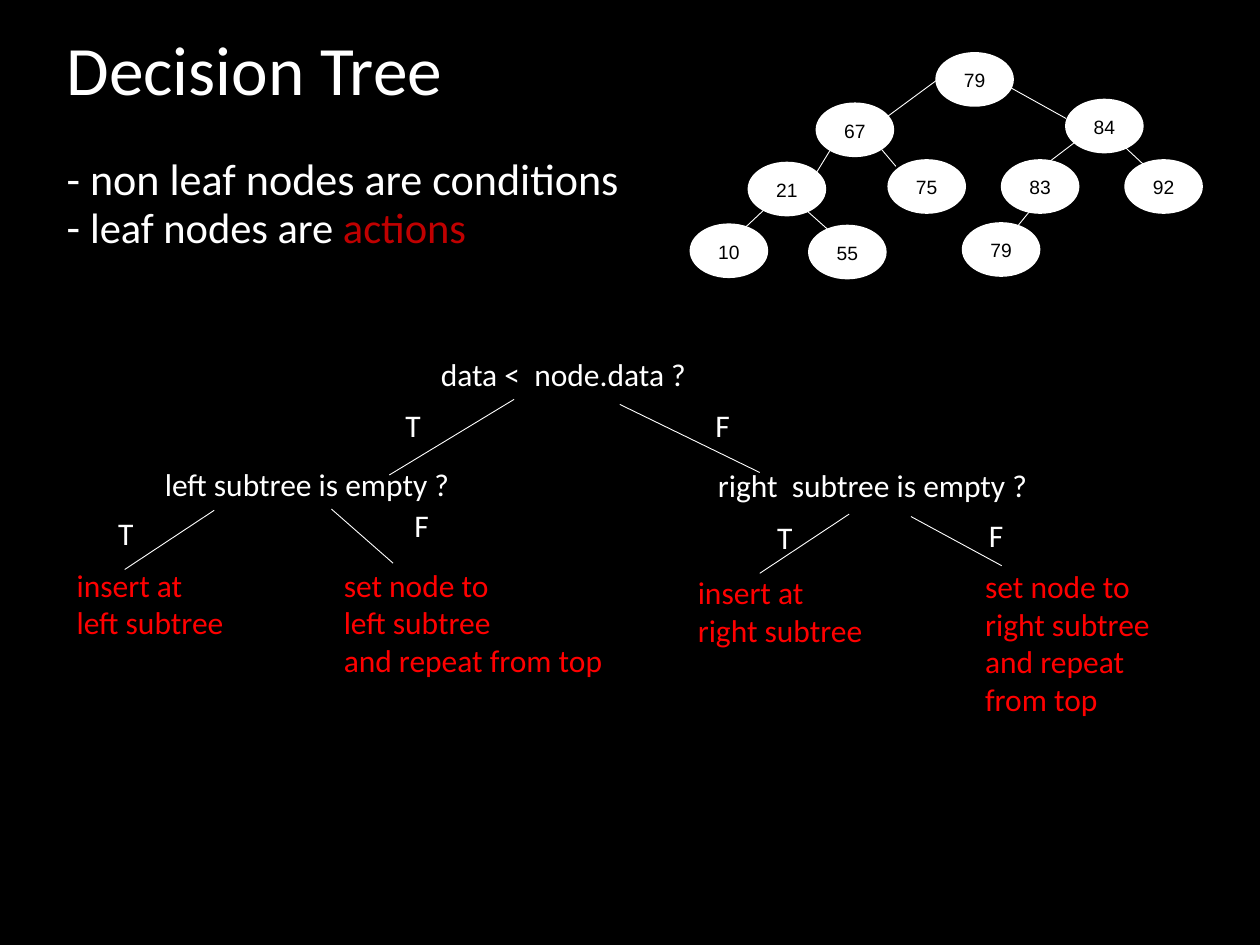
from pptx import Presentation
from pptx.dml.color import RGBColor
from pptx.enum.shapes import MSO_CONNECTOR as Connector, MSO_SHAPE as Shape
from pptx.enum.text import MSO_ANCHOR as Anchor, MSO_AUTO_SIZE as AutoSize, PP_ALIGN as Align
from pptx.oxml.ns import qn
from pptx.util import Inches, Pt
from lxml import etree

BLACK = RGBColor(0x00, 0x00, 0x00)
WHITE = RGBColor(0xFF, 0xFF, 0xFF)
RED = RGBColor(0xFF, 0x00, 0x00)
DARK_RED = RGBColor(0xC0, 0x00, 0x00)

NODE_WIDTH, NODE_HEIGHT = 0.61, 0.42
LINE_HEIGHT = 0.3

TREE_NODES = [
    ("79", 7.43, 0.42), ("67", 6.48, 0.82), ("21", 5.94, 1.29),
    ("10", 5.48, 1.78), ("55", 6.42, 1.79), ("75", 7.05, 1.27),
    ("79", 7.64, 1.77), ("84", 8.46, 0.79), ("83", 7.95, 1.27),
    ("92", 8.93, 1.27),
]
TREE_EDGES = [
    (7.43, 0.64, 7.05, 0.92), (8.01, 0.69, 8.46, 0.94),
    (6.59, 1.19, 6.48, 1.37), (8.53, 1.13, 8.32, 1.29),
    (7.00, 1.19, 7.11, 1.32), (8.93, 1.17, 9.07, 1.30),
    (6.07, 1.66, 5.91, 1.81), (8.17, 1.68, 8.08, 1.79),
    (6.40, 1.67, 6.58, 1.83),
]
CONDITIONS = [
    ("data <  node.data ?", 3.4, 2.77, 2.2),
    ("left subtree is empty ?", 1.21, 3.64, 2.51),
    ("right  subtree is empty ?", 5.6, 3.65, 2.73),
]
ACTIONS = [
    ("insert at\nleft subtree", 0.51, 4.44, 1.4, 2),
    ("set node to\nleft subtree\vand repeat from top", 2.63, 4.44, 2.32, 3),
    ("insert at\nright subtree", 5.44, 4.5, 1.56, 2),
]
DECISION_EDGES = [
    (4.08, 3.17, 3.09, 3.77), (1.70, 4.05, 0.99, 4.52),
    (6.74, 4.08, 6.03, 4.55), (4.92, 3.21, 6.03, 3.75),
    (2.63, 4.04, 3.12, 4.47), (7.23, 4.10, 7.95, 4.49),
]
ANSWERS = [
    ("T", 3.12, 3.17), ("T", 0.84, 4.03), ("T", 6.07, 4.06),
    ("F", 5.58, 3.17), ("F", 3.19, 3.97), ("F", 7.75, 4.05),
]


class TreePage:
    text_font = "Calibri"
    node_font = "Arial"
    text_size = 18
    node_size = 11

    def __init__(self, deck):
        self.page = deck.slides.add_slide(deck.slide_layouts[6])
        background = self.page.background.fill
        background.solid()
        background.fore_color.rgb = BLACK

    def style(self, span, name, size, color):
        span.font.name = name
        span.font.size = Pt(size)
        span.font.color.rgb = color

    def heading(self, title, lines):
        box = self.page.shapes.add_textbox(Inches(0.43), Inches(0.42), Inches(8.62), Inches(1.45))
        frame = box.text_frame
        frame.word_wrap = True
        frame.vertical_anchor = Anchor.MIDDLE
        frame.text = title
        self.style(frame.paragraphs[0].runs[0], self.text_font, 39.6, WHITE)
        for spans in lines:
            para = frame.add_paragraph()
            for text, size, color in spans:
                span = para.add_run()
                span.text = text
                self.style(span, self.text_font, size, color)
        for para in frame.paragraphs:
            para.line_spacing = 0.9
        frame.paragraphs[1].space_before = Pt(27)

    def label(self, text, left, top, width, lines=1, color=WHITE, wrap=False):
        height = 0.1 + lines * LINE_HEIGHT
        box = self.page.shapes.add_textbox(Inches(left), Inches(top), Inches(width), Inches(height))
        frame = box.text_frame
        frame.word_wrap = wrap
        frame.auto_size = AutoSize.SHAPE_TO_FIT_TEXT
        frame.text = text
        for para in frame.paragraphs:
            for span in para.runs:
                self.style(span, self.text_font, self.text_size, color)

    def node(self, text, left, top):
        oval = self.page.shapes.add_shape(
            Shape.OVAL, Inches(left), Inches(top), Inches(NODE_WIDTH), Inches(NODE_HEIGHT))
        oval.shadow.inherit = False
        oval.fill.solid()
        oval.fill.fore_color.rgb = WHITE
        oval.line.color.rgb = WHITE
        oval.line.width = Pt(1)
        frame = oval.text_frame
        frame.margin_left = frame.margin_right = 0
        frame.vertical_anchor = Anchor.MIDDLE
        frame.text = text
        para = frame.paragraphs[0]
        para.alignment = Align.CENTER
        para.line_spacing = 1.07
        para.space_after = Pt(8)
        self.style(para.runs[0], self.node_font, self.node_size, BLACK)

    def edge(self, *ends):
        line = self.page.shapes.add_connector(Connector.STRAIGHT, *map(Inches, ends))
        line.line.color.rgb = WHITE
        line.line.width = Pt(0.5)
        etree.SubElement(line._element.spPr, qn("a:effectLst"))


def main():
    deck = Presentation()
    deck.slide_width, deck.slide_height = Inches(10), Inches(7.5)
    page = TreePage(deck)
    page.heading("Decision Tree", [
        [("- non leaf nodes are conditions", 25.2, WHITE)],
        [("- ", 25.2, WHITE), ("leaf nodes are ", 24.3, WHITE), ("actions", 24.3, DARK_RED)],
    ])
    for node in TREE_NODES:
        page.node(*node)
    for edge in TREE_EDGES:
        page.edge(*edge)
    for condition in CONDITIONS:
        page.label(*condition)
    for action in ACTIONS:
        page.label(*action, color=RED)
    page.label("set node to\nright subtree and repeat from top", 7.72, 4.45, 1.59, 4, RED, wrap=True)
    for edge in DECISION_EDGES:
        page.edge(*edge)
    for answer in ANSWERS:
        page.label(*answer, width=0.33)
    deck.save("out.pptx")


if __name__ == "__main__":
    main()
